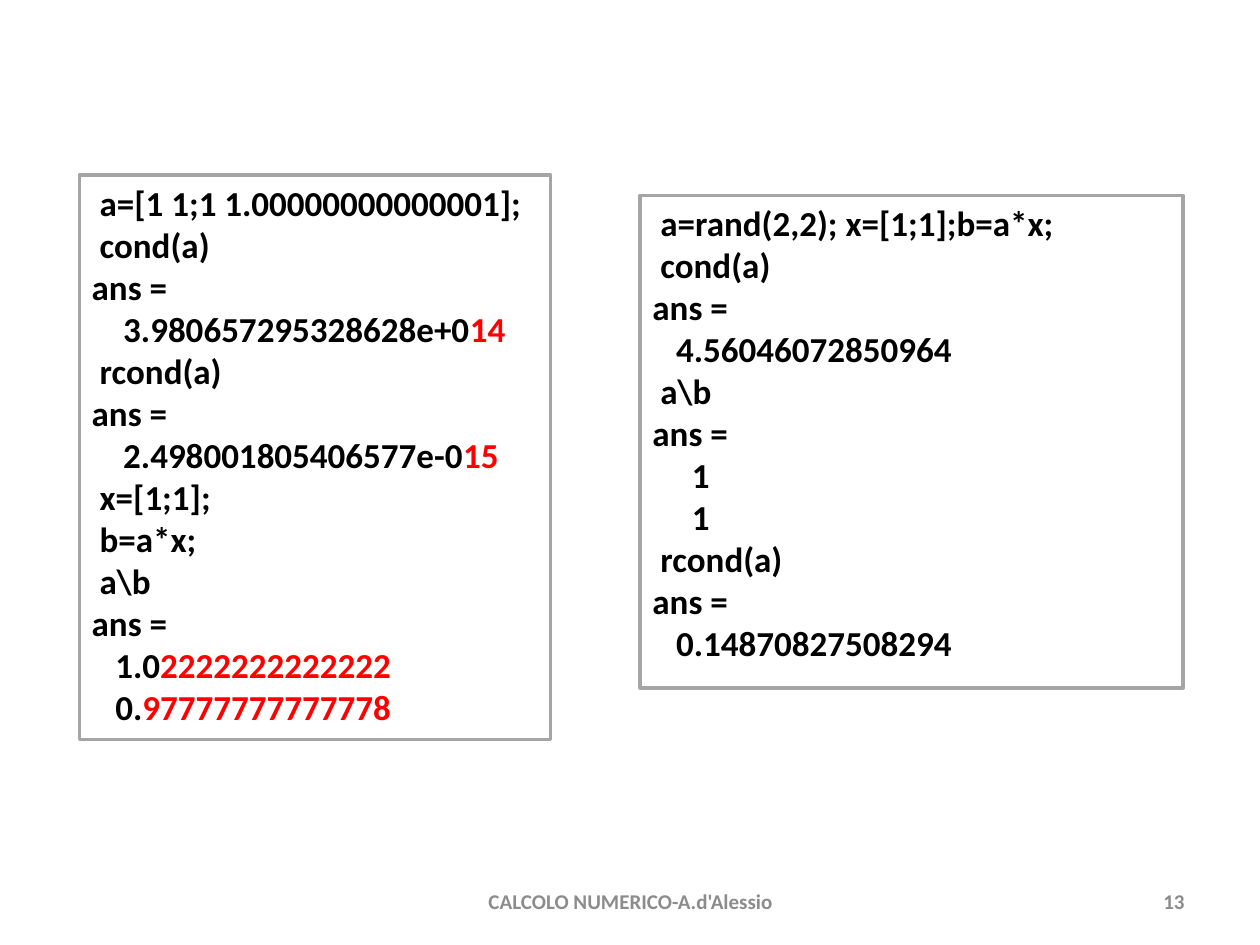
from dataclasses import dataclass

from pptx import Presentation
from pptx.dml.color import RGBColor
from pptx.enum.shapes import MSO_SHAPE
from pptx.enum.text import MSO_ANCHOR, MSO_AUTO_SIZE, PP_ALIGN
from pptx.util import Inches, Pt


@dataclass(frozen=True)
class Theme:
    font: str = "Calibri"
    code: RGBColor = RGBColor(0x00, 0x00, 0x00)
    digits: RGBColor = RGBColor(0xFF, 0x00, 0x00)
    border: RGBColor = RGBColor(0xA5, 0xA5, 0xA5)
    footer: RGBColor = RGBColor(0x8C, 0x8C, 0x8C)
    code_size: int = 20
    footer_size: int = 12
    border_width: int = 2


THEME = Theme()
INDENT_STEP = Inches(0.25) // 4

ILL_CONDITIONED = [
    (1, "a=[1 1;1 1.00000000000001];"),
    (1, "cond(a)"),
    (0, "ans ="),
    (4, "3.980657295328628e+0", "14"),
    (1, "rcond(a)"),
    (0, "ans ="),
    (4, "2.498001805406577e-0", "15"),
    (1, "x=[1;1];"),
    (1, "b=a*x;"),
    (1, "a\\b"),
    (0, "ans ="),
    (3, "1.0", "2222222222222"),
    (3, "0.", "97777777777778"),
]

WELL_CONDITIONED = [
    (1, "a=rand(2,2); x=[1;1];b=a*x;"),
    (1, "cond(a)"),
    (0, "ans ="),
    (3, "4.56046072850964"),
    (1, "a\\b"),
    (0, "ans ="),
    (5, "1"),
    (5, "1"),
    (1, "rcond(a)"),
    (0, "ans ="),
    (3, "0.14870827508294"),
]


def inches_box(left, top, width, height):
    return Inches(left), Inches(top), Inches(width), Inches(height)


def add_run(paragraph, text, size, color):
    run = paragraph.add_run()
    run.text = text
    run.font.name = THEME.font
    run.font.size = Pt(size)
    run.font.bold = True
    run.font.color.rgb = color


def add_code_panel(slide, box, code_lines):
    panel = slide.shapes.add_shape(MSO_SHAPE.RECTANGLE, *box)
    panel.shadow.inherit = False
    panel.fill.background()
    panel.line.color.rgb = THEME.border
    panel.line.width = Pt(THEME.border_width)

    code = panel.text_frame
    code.word_wrap = True
    code.auto_size = MSO_AUTO_SIZE.SHAPE_TO_FIT_TEXT
    code.vertical_anchor = MSO_ANCHOR.TOP
    for number, (indent, *parts) in enumerate(code_lines):
        line = code.add_paragraph() if number else code.paragraphs[0]
        line.alignment = PP_ALIGN.LEFT
        line_format = line._p.get_or_add_pPr()
        line_format.set("marL", str(indent * INDENT_STEP))
        line_format.set("indent", "0")
        for part, color in zip(parts, (THEME.code, THEME.digits)):
            add_run(line, part, THEME.code_size, color)


def add_footer(slide, box, text, alignment):
    footer = slide.shapes.add_textbox(*box).text_frame
    footer.word_wrap = True
    footer.vertical_anchor = MSO_ANCHOR.MIDDLE
    line = footer.paragraphs[0]
    line.alignment = alignment
    add_run(line, text, THEME.footer_size, THEME.footer)


def main():
    deck = Presentation()
    deck.slide_width, deck.slide_height = Inches(10), Inches(7.5)
    slide = deck.slides.add_slide(deck.slide_layouts[6])

    add_footer(slide, inches_box(3.42, 6.95, 3.17, 0.4),
               "CALCOLO NUMERICO-A.d'Alessio", PP_ALIGN.CENTER)
    add_footer(slide, inches_box(7.17, 6.95, 2.33, 0.4), "13", PP_ALIGN.RIGHT)
    add_code_panel(slide, inches_box(0.63, 1.39, 3.74, 4.48), ILL_CONDITIONED)
    add_code_panel(slide, inches_box(5.08, 1.55, 4.31, 3.91), WELL_CONDITIONED)

    deck.save("out.pptx")


if __name__ == "__main__":
    main()
